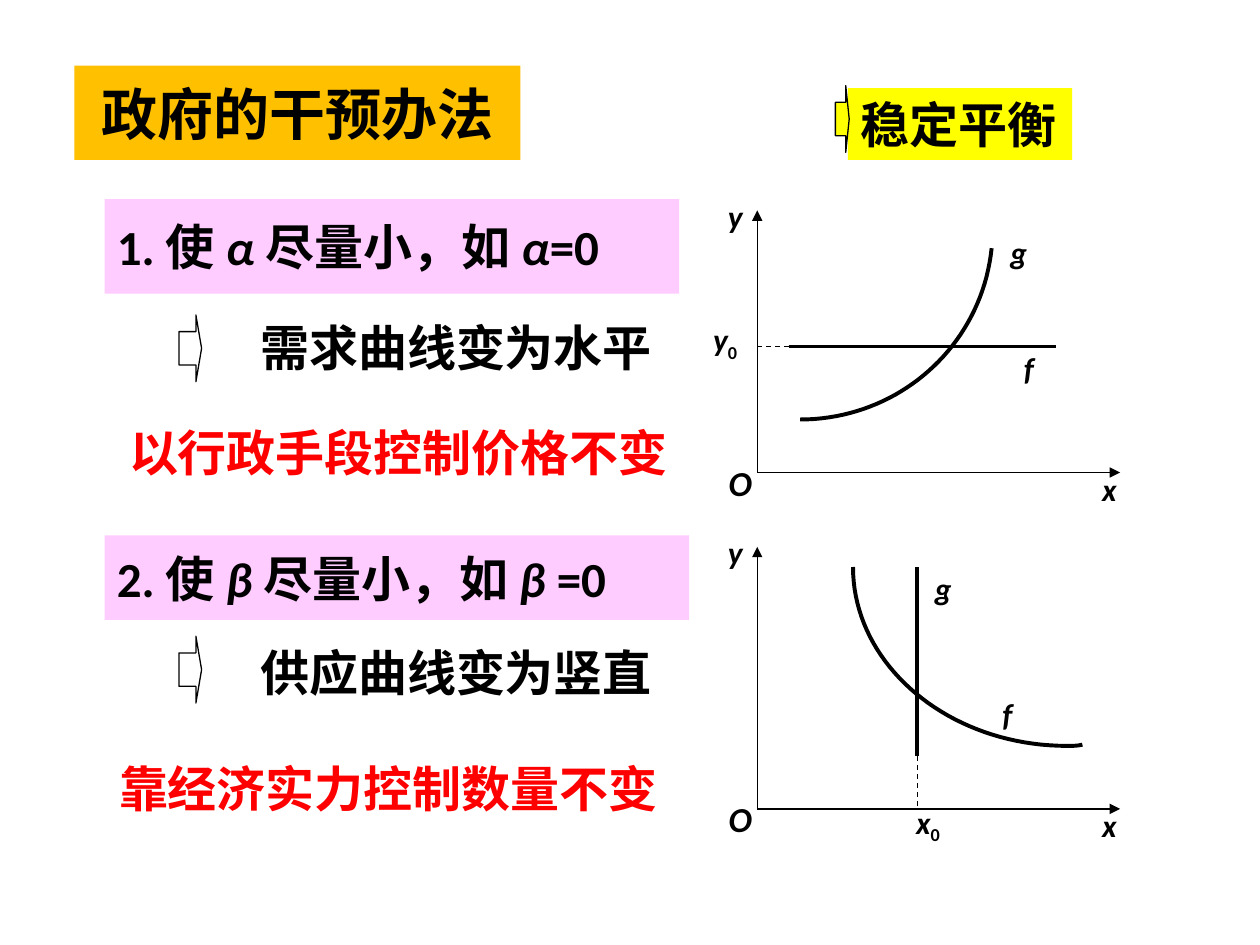
from dataclasses import dataclass

from lxml.etree import SubElement
from pptx import Presentation
from pptx.dml.color import RGBColor
from pptx.enum.dml import MSO_LINE
from pptx.enum.shapes import MSO_CONNECTOR, MSO_SHAPE
from pptx.enum.text import MSO_ANCHOR, MSO_AUTO_SIZE, PP_ALIGN
from pptx.oxml.ns import qn
from pptx.util import Inches, Pt


@dataclass(frozen=True)
class Theme:
    black: RGBColor = RGBColor.from_string("000000")
    red: RGBColor = RGBColor.from_string("FF0000")
    orange: RGBColor = RGBColor.from_string("FFC000")
    pink: RGBColor = RGBColor.from_string("FFCCFF")
    yellow: RGBColor = RGBColor.from_string("FFFF00")
    latin_font: str = "Calibri"
    chinese_font: str = "Noto Sans CJK SC"
    title_size: int = 32
    body_size: int = 28
    origin_size: int = 20
    label_size: int = 18
    thin: float = 0.75
    thick: float = 2.25


theme = Theme()

TITLE = ("政府的干预办法", (0.59, 0.52, 3.54, 0.75))
BADGE = ("稳定平衡", (6.73, 0.7, 1.78, 0.57))
BADGE_ARROW = (6.63, 0.68, 0.11, 0.53)

METHODS = [
    {
        "measure": [("1. 使 ", ""), ("α ", "i"), ("尽量小，如 ", ""), ("α", "i"), ("=0 ", "")],
        "measure_box": (0.83, 1.58, 4.56, 0.75),
        "effect": "需求曲线变为水平",
        "effect_box": (1.69, 2.42, 3.86, 0.67),
        "arrow_box": (1.42, 2.5, 0.18, 0.53),
        "policy": "以行政手段控制价格不变",
        "policy_box": (0.75, 3.25, 4.82, 0.67),
    },
    {
        "measure": [("2. 使 ", ""), ("β ", "i"), ("尽量小，如 ", ""), ("β ", "i"), ("=0", "")],
        "measure_box": (0.83, 4.25, 4.64, 0.67),
        "effect": "供应曲线变为竖直",
        "effect_box": (1.69, 5, 3.86, 0.67),
        "arrow_box": (1.42, 5.05, 0.18, 0.53),
        "policy": "靠经济实力控制数量不变",
        "policy_box": (0.67, 5.92, 4.82, 0.67),
    },
]

ORIGIN_X = 6.01
AXIS_WIDTH, AXIS_HEIGHT = 2.88, 2.08
SMALL_LABEL, LARGE_LABEL = (0.51, 0.42), (0.59, 0.5)

PLOTS = [
    {
        "origin_y": 3.75,
        "straight": ((6.26, 2.75), (8.38, 2.75)),
        "guide": ((6.26, 2.75), (6.01, 2.75)),
        "curve": [((6.35, 3.33), (7.13, 3.33), (7.79, 2.75), (7.87, 1.97))],
        "equilibrium": ("y", (5.5, 2.5)),
        "curve_labels": [("g", (7.79, 1.75)), ("f", (7.87, 2.67))],
    },
    {
        "origin_y": 6.42,
        "straight": ((7.28, 4.5), (7.28, 6)),
        "guide": ((7.28, 6), (7.28, 6.42)),
        "curve": [
            ((8.59, 5.91), (8.55, 5.92), (8.51, 5.92), (8.47, 5.92)),
            ((8.47, 5.92), (7.53, 5.92), (6.77, 5.28), (6.77, 4.5)),
        ],
        "equilibrium": ("x", (7.11, 6.33)),
        "curve_labels": [("g", (7.19, 4.42)), ("f", (7.7, 5.42))],
    },
]


def write(shape, runs, size, color=theme.black, align=PP_ALIGN.CENTER, font=theme.latin_font):
    frame = shape.text_frame
    frame.auto_size = MSO_AUTO_SIZE.NONE
    frame.word_wrap = False
    frame.vertical_anchor = MSO_ANCHOR.MIDDLE
    paragraph = frame.paragraphs[0]
    paragraph.alignment = align
    for text, style in runs:
        run = paragraph.add_run()
        run.text = text
        run.font.name = font
        run.font.size = Pt(size)
        run.font.bold = True
        run.font.italic = "i" in style
        run.font.color.rgb = color
        properties = run.font._element
        SubElement(properties, qn("a:ea")).set("typeface", theme.chinese_font)
        if "s" in style:
            properties.set("baseline", "-25000")


def add_text(slide, box, runs, size, color=theme.black):
    write(slide.shapes.add_textbox(*map(Inches, box)), runs, size, color)


def add_filled_shape(slide, kind, box, fill=None, outlined=False):
    shape = slide.shapes.add_shape(kind, *map(Inches, box))
    shape.shadow.inherit = False
    if fill is None:
        shape.fill.background()
    else:
        shape.fill.solid()
        shape.fill.fore_color.rgb = fill
    if outlined:
        shape.line.color.rgb = theme.black
        shape.line.width = Pt(theme.thin)
    else:
        shape.line.fill.background()
    return shape


def add_block_arrow(slide, box, fill=None):
    arrow = add_filled_shape(slide, MSO_SHAPE.RIGHT_ARROW, box, fill, outlined=True)
    arrow.adjustments[0] = 0.5
    arrow.adjustments[1] = 0.25


def add_line(slide, start, end, width, arrow=False, dashed=False):
    connector = slide.shapes.add_connector(MSO_CONNECTOR.STRAIGHT, *map(Inches, (*start, *end)))
    connector.line.color.rgb = theme.black
    connector.line.width = Pt(width)
    if dashed:
        connector.line.dash_style = MSO_LINE.DASH
    if arrow:
        SubElement(connector.line._get_or_add_ln(), qn("a:tailEnd")).set("type", "triangle")
    SubElement(connector._element.spPr, qn("a:effectLst"))


def bezier_point(controls, t):
    weights = ((1 - t) ** 3, 3 * t * (1 - t) ** 2, 3 * t**2 * (1 - t), t**3)
    return tuple(Inches(sum(w * c[axis] for w, c in zip(weights, controls))) for axis in (0, 1))


def add_curve(slide, segments, steps=40):
    points = [bezier_point(segment, i / steps) for segment in segments for i in range(steps + 1)]
    builder = slide.shapes.build_freeform(*points[0])
    builder.add_line_segments(points[1:], close=False)
    curve = builder.convert_to_shape()
    curve.shadow.inherit = False
    curve.fill.background()
    curve.line.color.rgb = theme.black
    curve.line.width = Pt(theme.thick)


def add_method(slide, method):
    measure = add_filled_shape(slide, MSO_SHAPE.RECTANGLE, method["measure_box"], theme.pink)
    write(measure, method["measure"], theme.body_size, align=PP_ALIGN.LEFT)
    add_text(slide, method["effect_box"], [(method["effect"], "")], theme.body_size)
    add_block_arrow(slide, method["arrow_box"])
    add_text(slide, method["policy_box"], [(method["policy"], "")], theme.body_size, theme.red)


def add_plot(slide, plot):
    bottom = plot["origin_y"]
    origin = (ORIGIN_X, bottom)
    add_line(slide, origin, (ORIGIN_X, bottom - AXIS_HEIGHT), theme.thin, arrow=True)
    add_line(slide, origin, (ORIGIN_X + AXIS_WIDTH, bottom), theme.thin, arrow=True)
    add_line(slide, *plot["straight"], theme.thick)
    add_line(slide, *plot["guide"], theme.thin, dashed=True)
    add_curve(slide, plot["curve"])
    for name, position in (("x", (8.55, bottom - 0.08)), ("y", (5.58, bottom - 2.25))):
        add_text(slide, position + SMALL_LABEL, [(name, "i")], theme.label_size)
    add_text(slide, (5.58, bottom - 0.17) + LARGE_LABEL, [("O", "i")], theme.origin_size)
    name, position = plot["equilibrium"]
    add_text(slide, position + SMALL_LABEL, [(name, "i"), ("0", "s")], theme.label_size)
    for name, position in plot["curve_labels"]:
        add_text(slide, position + LARGE_LABEL, [(name, "i")], theme.label_size)


presentation = Presentation()
presentation.slide_width = Inches(10)
presentation.slide_height = Inches(7.5)
slide = presentation.slides.add_slide(presentation.slide_layouts[5])

title_text, title_box = TITLE
title = slide.shapes.title
title.left, title.top, title.width, title.height = map(Inches, title_box)
title.fill.solid()
title.fill.fore_color.rgb = theme.orange
write(title, [(title_text, "")], theme.title_size, font=theme.chinese_font)

for method in METHODS:
    add_method(slide, method)
for plot in PLOTS:
    add_plot(slide, plot)

badge_text, badge_box = BADGE
badge = add_filled_shape(slide, MSO_SHAPE.RECTANGLE, badge_box, theme.yellow)
write(badge, [(badge_text, "")], theme.body_size, align=PP_ALIGN.LEFT)
add_block_arrow(slide, BADGE_ARROW, theme.yellow)

presentation.save("out.pptx")
